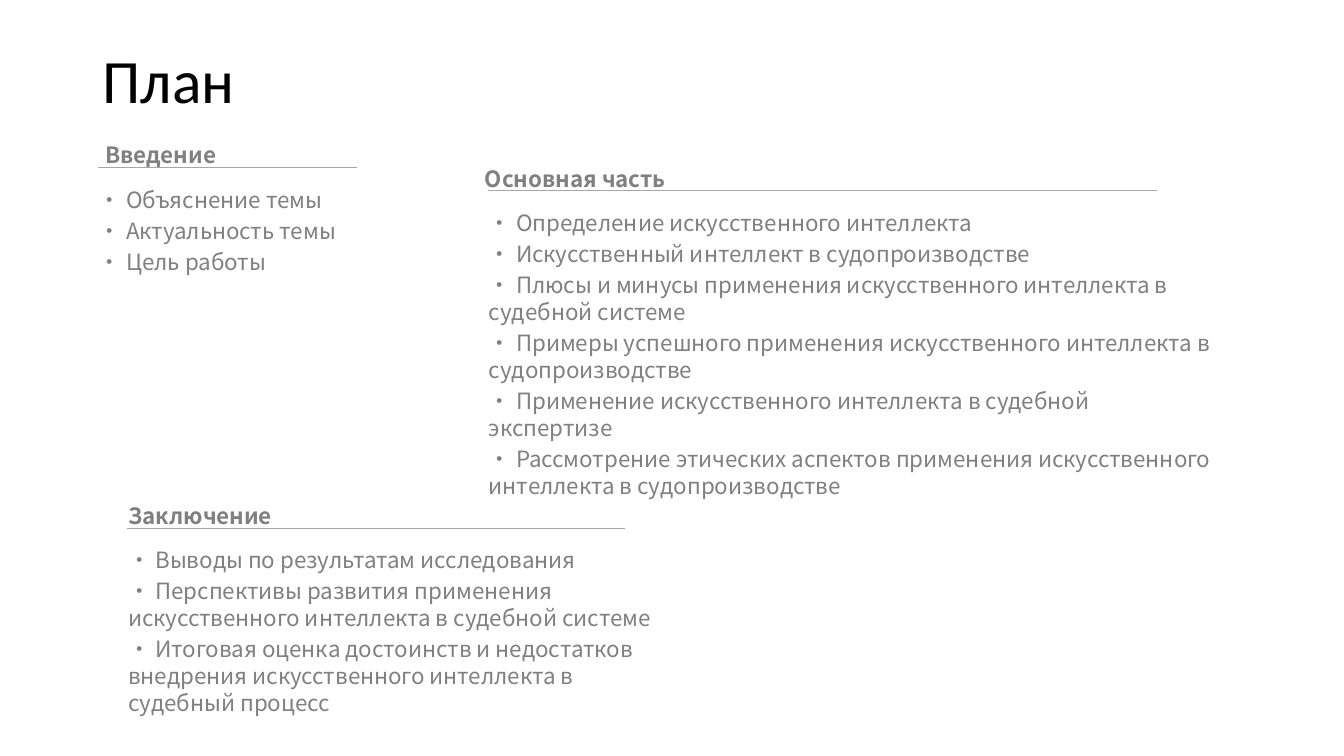
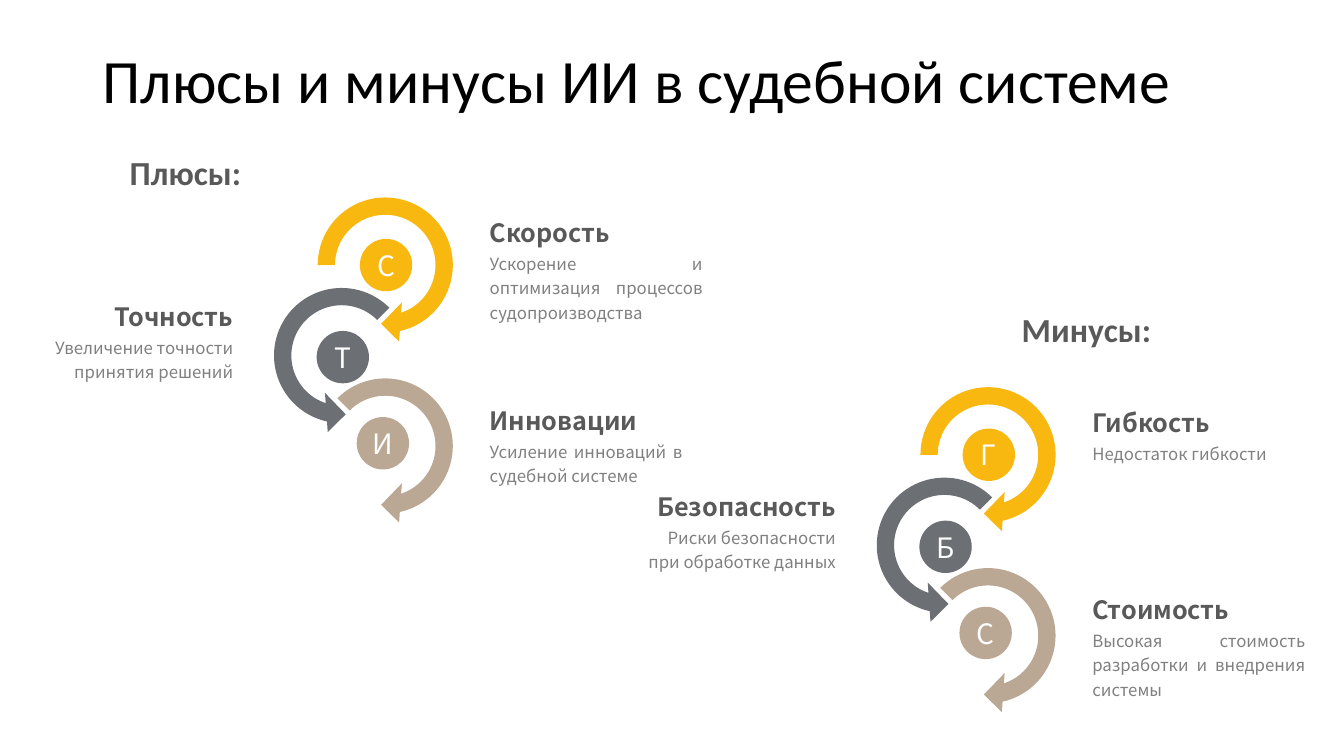
from lxml import etree
from pptx import Presentation
from pptx.dml.color import RGBColor
from pptx.enum.shapes import MSO_CONNECTOR, MSO_SHAPE
from pptx.enum.text import MSO_ANCHOR, PP_ALIGN
from pptx.oxml.ns import qn
from pptx.util import Cm, Pt

CENTER, JUSTIFY, RIGHT = PP_ALIGN.CENTER, PP_ALIGN.JUSTIFY, PP_ALIGN.RIGHT
TOP, MIDDLE = MSO_ANCHOR.TOP, MSO_ANCHOR.MIDDLE
CLOCKWISE, COUNTERCLOCKWISE = MSO_SHAPE.CIRCULAR_ARROW, MSO_SHAPE.LEFT_CIRCULAR_ARROW
DISC, STRAIGHT = MSO_SHAPE.OVAL, MSO_CONNECTOR.STRAIGHT

COLORS = {
    "title": "000000", "heading": "595959", "body": "808080", "rule": "A6A6A6",
    "letter": "FFFFFF", "yellow": "F9B810", "gray": "6C7074", "tan": "BBA894",
}
SANS, NOTO = "Calibri", "Noto Sans CJK SC"

# Text styles: font values, colour and paragraph values
STYLES = {
    "title": ({"name": SANS, "size": Pt(44)}, "title", {"line_spacing": 0.9}),
    "group": ({"name": SANS, "size": Pt(24), "bold": True}, "heading", {}),
    "section": ({"name": NOTO, "size": Pt(16), "bold": True}, "body", {}),
    "item": ({"name": NOTO, "size": Pt(16)}, "body", {"space_before": Pt(3)}),
    "point": ({"name": NOTO, "size": Pt(18), "bold": True}, "heading", {"line_spacing": 1.2}),
    "detail": ({"name": NOTO, "size": Pt(12)}, "body", {"line_spacing": 1.2}),
    "letter": ({"name": NOTO, "size": Pt(20)}, "letter", {"alignment": CENTER}),
}

# Frame insets in cm: left, top, right, bottom
DEFAULT_INSETS = (0.25, 0.13, 0.25, 0.13)
SECTION_INSETS = (0.3, 0.15, 0.3, 0.15)
ITEM_INSETS = (0, 0, 0.25, 0.13)

# Chain links from the top: arrow, its adjustments, colour, arrow offset,
# disc offset inside the arrow, label offset and side (cm)
ARROW_SIZE, DISC_SIZE, LINK_STEP = 3.96, 1.32, 2.28
LINKS = [
    (CLOCKWISE, (45, 108), "yellow", 0, (1.34, 1.32), (4.36, 0.5), JUSTIFY),
    (COUNTERCLOCKWISE, (63, 189), "gray", -1.1, (1.35, 1.36), (-1.6, 2.61), RIGHT),
    (CLOCKWISE, (45, 135), "tan", 0, (1.26, 1.25), (4.36, 5.22), JUSTIFY),
]

# Sections: heading, heading left, rule length, list box, items
SECTIONS = [
    ("Введение", 2.35, 6.53, (2.49, 4.68, 7.19, 2.46),
     ["Объяснение темы", "Актуальность темы", "Цель работы"]),
    ("Основная часть", 11.92, 16.87, (12.32, 5.27, 18.62, 7.65),
     ["Определение искусственного интеллекта",
      "Искусственный интеллект в судопроизводстве",
      "Плюсы и минусы применения искусственного интеллекта в судебной системе",
      "Примеры успешного применения искусственного интеллекта в судопроизводстве",
      "Применение искусственного интеллекта в судебной экспертизе",
      "Рассмотрение этических аспектов применения искусственного интеллекта в судопроизводстве"]),
    ("Заключение", 2.94, 12.55, (3.23, 13.77, 13.84, 5.2),
     ["Выводы по результатам исследования",
      "Перспективы развития применения искусственного интеллекта в судебной системе",
      "Итоговая оценка достоинств и недостатков внедрения искусственного интеллекта "
      "в судебный процесс"]),
]

# Chains: heading, heading place, chain place, (letter, point, detail, width)
CHAINS = [
    ("Плюсы:", (3.02, 3.71), (7.73, 4.7), [
        ("С", "Скорость", "Ускорение и оптимизация процессов судопроизводства", 5.87),
        ("Т", "Точность", "Увеличение точности принятия решений", 5.41),
        ("И", "Инновации", "Усиление инноваций в судебной системе", 5.36)]),
    ("Минусы:", (25.5, 7.66), (22.92, 9.48), [
        ("Г", "Гибкость", "Недостаток гибкости", 5.87),
        ("Б", "Безопасность", "Риски безопасности при обработке данных", 5.41),
        ("С", "Стоимость", "Высокая стоимость разработки и внедрения системы", 5.87)]),
]


def rgb(color):
    return RGBColor.from_string(COLORS[color])


def set_values(target, values):
    for name, value in values.items():
        setattr(target, name, value)


def write(frame, lines, style, insets=DEFAULT_INSETS, anchor=TOP, align=None):
    """Fill a text frame, one paragraph for each line."""
    left, top, right, bottom = map(Cm, insets)
    set_values(frame, {"word_wrap": True, "vertical_anchor": anchor,
                       "margin_left": left, "margin_top": top,
                       "margin_right": right, "margin_bottom": bottom})
    font_values, color, paragraph_values = STYLES[style]
    for index, line in enumerate(lines):
        paragraph = frame.add_paragraph() if index else frame.paragraphs[0]
        set_values(paragraph, paragraph_values)
        if align is not None:
            paragraph.alignment = align
        run = paragraph.add_run()
        run.text = line
        set_values(run.font, font_values)
        run.font.color.rgb = rgb(color)


def add_text(slide, box, lines, style, **options):
    frame = slide.shapes.add_textbox(*map(Cm, box)).text_frame
    write(frame, lines, style, **options)


def add_rule(slide, left, top, length):
    rule = slide.shapes.add_connector(STRAIGHT, Cm(left), Cm(top), Cm(left + length), Cm(top))
    rule.line.color.rgb = rgb("rule")
    rule.line.width = Pt(0.5)
    etree.SubElement(rule._element.spPr, qn("a:effectLst"))


def add_solid(slide, kind, left, top, size, color):
    solid = slide.shapes.add_shape(kind, Cm(left), Cm(top), Cm(size), Cm(size))
    solid.shadow.inherit = False
    solid.fill.solid()
    solid.fill.fore_color.rgb = rgb(color)
    solid.line.fill.background()
    return solid


def add_slide(deck, title):
    slide = deck.slides.add_slide(deck.slide_layouts[6])
    add_text(slide, (2.34, 1.02, 29.21, 2.16), [title], "title", anchor=MIDDLE)
    return slide


def add_section(slide, heading, heading_left, rule_length, list_box, items):
    left, top = list_box[:2]
    # The dot is part of the line, so wrapped lines start at the margin
    add_text(slide, list_box, [f"• {item}" for item in items], "item", insets=ITEM_INSETS)
    add_text(slide, (heading_left, top - 1.27, rule_length, 1), [heading], "section",
             insets=SECTION_INSETS)
    add_rule(slide, left - 0.02, top - 0.46, rule_length)


def add_label(slide, left, top, width, point, detail, align):
    add_text(slide, (left, top + 0.97, width, 1.5), [detail], "detail", align=align)
    add_text(slide, (left, top, width, 1.12), [point], "point", align=align)


def add_chain(slide, heading, heading_place, chain_place, points):
    left, top = chain_place
    add_text(slide, (*heading_place, 4, 1.27), [heading], "group")
    # The upper links overlap the lower ones, so build from the bottom
    for index in reversed(range(len(LINKS))):
        kind, angles, color, shift, disc_offset, label_offset, align = LINKS[index]
        letter, point, detail, width = points[index]
        arrow_left, arrow_top = left + shift, top + index * LINK_STEP
        arrow = add_solid(slide, kind, arrow_left, arrow_top, ARROW_SIZE, color)
        for position, value in enumerate((0.11, 11.42, *angles, 0.125)):
            arrow.adjustments[position] = value
        disc = add_solid(slide, DISC, arrow_left + disc_offset[0],
                         arrow_top + disc_offset[1], DISC_SIZE, color)
        write(disc.text_frame, [letter], "letter", insets=(0, 0, 0, 0), anchor=MIDDLE)
        label_left = left + label_offset[0] - (width if align == RIGHT else 0)
        add_label(slide, label_left, top + label_offset[1], width, point, detail, align)


def main():
    deck = Presentation()
    deck.slide_width, deck.slide_height = Cm(33.87), Cm(19.05)

    # Plan
    plan = add_slide(deck, "План")
    for section in SECTIONS:
        add_section(plan, *section)

    # Pros and cons
    pros_and_cons = add_slide(deck, "Плюсы и минусы ИИ в судебной системе")
    for chain in CHAINS:
        add_chain(pros_and_cons, *chain)

    deck.save("out.pptx")


if __name__ == "__main__":
    main()
